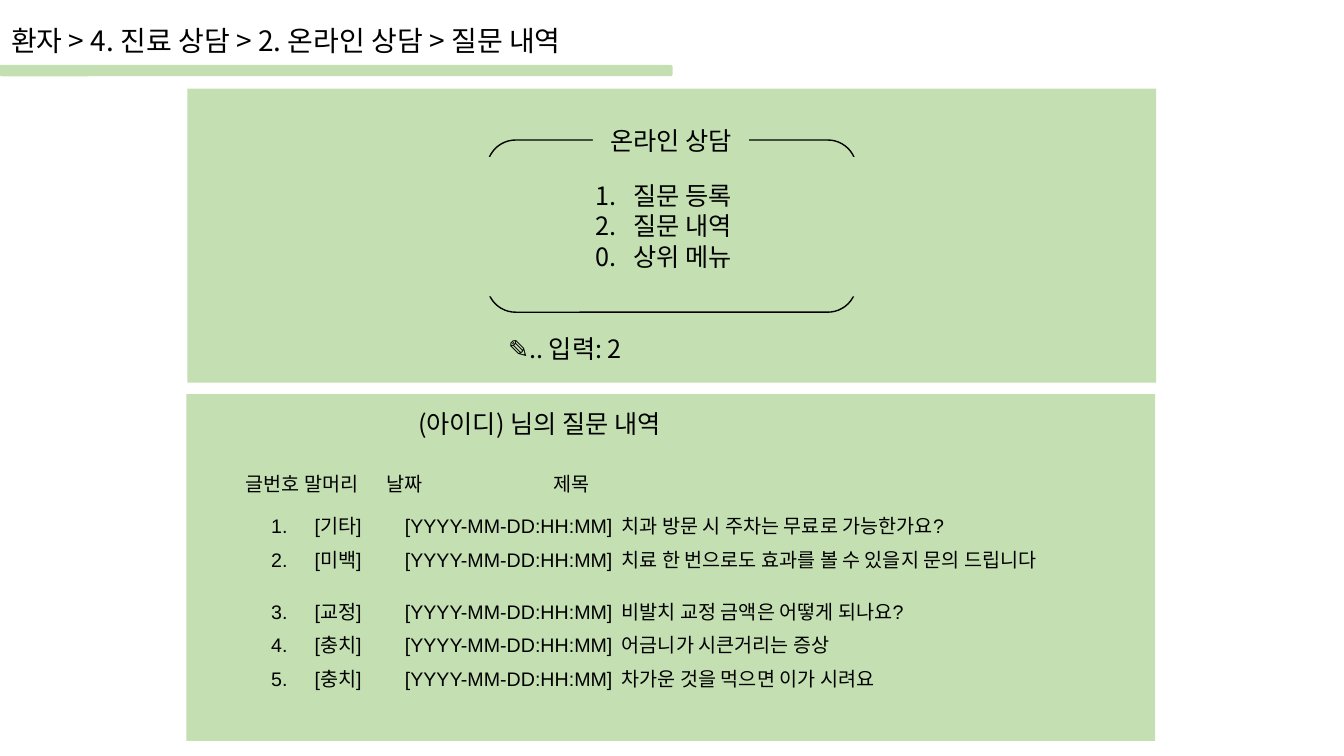
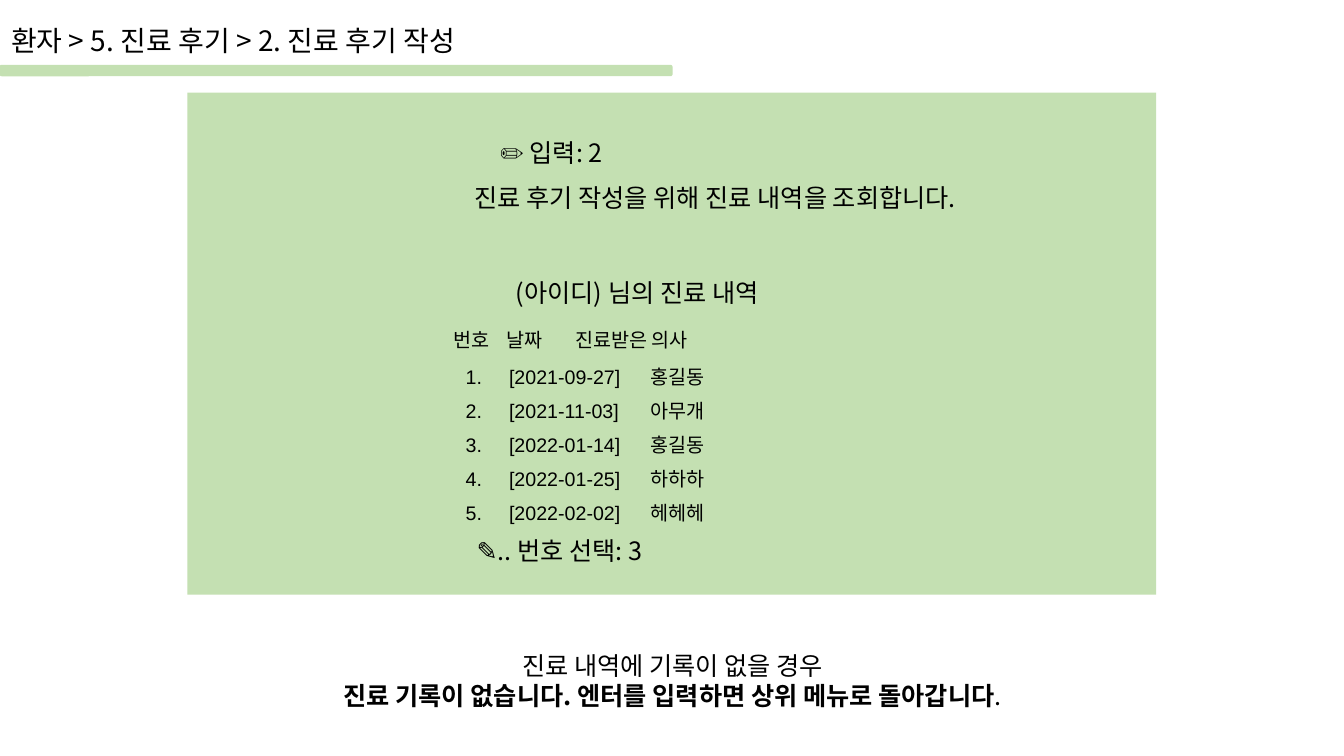
from dataclasses import dataclass
from typing import NamedTuple

from lxml import etree
from pptx import Presentation
from pptx.dml.color import RGBColor
from pptx.enum.shapes import MSO_SHAPE
from pptx.enum.text import MSO_ANCHOR, MSO_AUTO_SIZE, PP_ALIGN
from pptx.oxml.ns import qn
from pptx.util import Pt

RECT, ROUND = MSO_SHAPE.RECTANGLE, MSO_SHAPE.ROUNDED_RECTANGLE
LEFT, CENTER = PP_ALIGN.LEFT, PP_ALIGN.CENTER
TOP, MIDDLE = MSO_ANCHOR.TOP, MSO_ANCHOR.MIDDLE
FIXED = MSO_AUTO_SIZE.NONE

GREEN, BLACK = "C4E0B2", "000000"
SANS, LATIN = "Noto Sans CJK KR", "Arial"
NO_GRID = "{2D5ABB26-0587-4C30-8999-92F81FD0307C}"
TITLE_BODY, TITLE_ONLY = 1, 5
INDENT = 27


class Box(NamedTuple):
    x: float
    y: float
    w: float
    h: float

    def pts(self):
        return [Pt(v) for v in self]


class Run(NamedTuple):
    text: str
    bold: bool = False


class Line(NamedTuple):
    runs: list[Run]
    tabs: tuple = ()


@dataclass
class Label:
    box: Box
    lines: list[Line]
    size: int = 18
    align: PP_ALIGN = LEFT
    fill: bool = False


@dataclass
class Grid:
    """One column of rows whose fields are set apart by tab stops."""
    box: Box
    tabs: tuple
    rows: list[str]
    heights: list[float]


def plain(text: str, tabs: tuple = ()) -> Line:
    return Line([Run(text)], tabs)


def note(box: Box, text: str) -> Label:
    """A centred line on a green ground."""
    return Label(box, [plain(text)], align=CENTER, fill=True)


def color(code: str) -> RGBColor:
    return RGBColor.from_string(code)


def add_node(parent, tag: str, **attrs):
    return etree.SubElement(parent, qn(tag), attrs)


def set_tabs(para, tabs: tuple) -> None:
    if tabs:
        stops = add_node(para._p.get_or_add_pPr(), "a:tabLst")
        for pos in tabs:
            add_node(stops, "a:tab", pos=str(int(Pt(pos))), algn="l")


def set_indent(para, auto: bool) -> None:
    """Hang the paragraph, with an automatic number if asked."""
    props = para._p.get_or_add_pPr()
    props.set("marL", str(int(Pt(INDENT))))
    props.set("indent", str(-int(Pt(INDENT))))
    if auto:
        add_node(props, "a:buFontTx")
        add_node(props, "a:buAutoNum", type="arabicPeriod")
    else:
        add_node(props, "a:buNone")


def add_run(para, run: Run, size: int, face: str) -> None:
    item = para.add_run()
    item.text = run.text
    font = item.font
    font.size, font.bold, font.name = Pt(size), run.bold, face
    font.color.rgb = color(BLACK)
    latin = font._element.find(qn("a:latin"))
    latin.addnext(etree.Element(qn("a:ea"), typeface=SANS))


def write(frame, lines: list[Line], size: int, align=LEFT, face: str = SANS) -> None:
    for i, line in enumerate(lines):
        para = frame.paragraphs[0] if i == 0 else frame.add_paragraph()
        set_tabs(para, line.tabs)
        para.alignment = align
        para.space_before = Pt(0)
        for run in line.runs:
            add_run(para, run, size, face)


def add_block(slide, box: Box, kind=RECT, edge: str = ""):
    shape = slide.shapes.add_shape(kind, *box.pts())
    shape.shadow.inherit = False
    shape.fill.solid()
    shape.fill.fore_color.rgb = color(GREEN)
    if edge:
        shape.line.color.rgb = color(edge)
        shape.line.width = Pt(1)
    else:
        shape.line.fill.background()
    return shape


def add_label(slide, label: Label) -> None:
    if label.fill:
        shape = add_block(slide, label.box)
    else:
        shape = slide.shapes.add_textbox(*label.box.pts())
    frame = shape.text_frame
    frame.word_wrap = True
    frame.vertical_anchor = MIDDLE if label.fill else TOP
    write(frame, label.lines, label.size, label.align)


def place(holder, box: Box):
    """Move a placeholder and return its text frame."""
    holder.left, holder.top, holder.width, holder.height = box.pts()
    frame = holder.text_frame
    frame.word_wrap = True
    frame.auto_size = FIXED
    frame.vertical_anchor = TOP
    return frame


def add_menu(slide, box: Box, items: list[str], last: str) -> None:
    """Fill the body with numbered items and a last one that returns."""
    body = slide.placeholders[1]
    frame = place(body, box)
    write(frame, [plain(text) for text in [*items, "0.\t" + last]], 18)
    for i, para in enumerate(frame.paragraphs):
        set_indent(para, i < len(items))
    tree = body.element.getparent()
    tree.append(body.element)


def add_grid(slide, grid: Grid) -> None:
    holder = slide.shapes.add_table(len(grid.rows), 1, *grid.box.pts())
    table = holder.table
    table.first_row = table.horz_banding = False
    for style in holder.element.iter(qn("a:tableStyleId")):
        style.text = NO_GRID
    for i, (text, high) in enumerate(zip(grid.rows, grid.heights)):
        table.rows[i].height = Pt(high)
        cell = table.cell(i, 0)
        cell.margin_bottom = Pt(0)
        cell.fill.solid()
        cell.fill.fore_color.rgb = color(GREEN)
        write(cell.text_frame, [plain(text, grid.tabs)], 14, face=LATIN)


def new_slide(deck, layout: int, trail: list[str]):
    """Start a slide with its menu trail and the green rule below it."""
    slide = deck.slides.add_slide(deck.slide_layouts[layout])
    add_block(slide, Box(0, 46.8, 480, 7.2), ROUND, GREEN)
    frame = place(slide.shapes.title, Box(0.7, 13, 626, 32))
    write(frame, [plain(" > ".join(trail))], 20)
    return slide


def ask_slide(deck) -> None:
    slide = new_slide(deck, TITLE_BODY,
                      ["환자", "4. 진료 상담", "2. 온라인 상담", "질문 내역"])
    add_block(slide, Box(133.2, 281.5, 692, 247.7))
    add_label(slide, note(Box(239.8, 288, 291, 29), "(아이디) 님의 질문 내역"))
    head = plain("글번호 말머리\t날짜\t제목", (100.8, 220))
    add_label(slide, Label(Box(168.5, 333.4, 307, 24.5), [head], 14))

    add_block(slide, Box(133.9, 63.4, 692, 210))
    add_block(slide, Box(347.8, 100, 264, 123), ROUND, BLACK)
    add_block(slide, Box(287.3, 112.3, 384, 99.4))
    add_label(slide, note(Box(347.8, 234.7, 111.6, 29), "✎.. 입력: 2"))
    add_label(slide, note(Box(423.4, 85.7, 111.6, 29), "온라인 상담"))
    add_menu(slide, Box(418.3, 125.3, 121, 73), ["질문 등록", "질문 내역"], "상위 메뉴")

    posts = [
        ("기타", "치과 방문 시 주차는 무료로 가능한가요?"),
        ("미백", "치료 한 번으로도 효과를 볼 수 있을지 문의 드립니다"),
        ("교정", "비발치 교정 금액은 어떻게 되나요?"),
        ("충치", "어금니가 시큰거리는 증상"),
        ("충치", "차가운 것을 먹으면 이가 시려요"),
    ]
    rows = [f"{i}.\t[{tag}]\t[YYYY-MM-DD:HH:MM]\t{text}"
            for i, (tag, text) in enumerate(posts, 1)]
    add_grid(slide, Grid(Box(186.5, 361.4, 612.7, 133), (31, 95.5, 250.5),
                         rows, [24, 37, 24, 24, 24]))


def review_slide(deck) -> None:
    slide = new_slide(deck, TITLE_ONLY,
                      ["환자", "5. 진료 후기", "2. 진료 후기 작성"])
    add_block(slide, Box(133.9, 66.2, 692, 358.6))
    visits = [
        ("2021-09-27", "홍길동"),
        ("2021-11-03", "아무개"),
        ("2022-01-14", "홍길동"),
        ("2022-01-25", "하하하"),
        ("2022-02-02", "헤헤헤"),
    ]
    rows = [f"{i}.\t[{day}]\t{name}" for i, (day, name) in enumerate(visits, 1)]
    add_grid(slide, Grid(Box(325.4, 254.9, 252, 121.5), (31, 132),
                         rows, [24.3] * len(rows)))
    head = plain("번호\t날짜\t진료받은 의사", (38, 87))
    empty = [
        plain("진료 내역에 기록이 없을 경우"),
        Line([Run("진료 기록이 없습니다. 엔터를 입력하면 상위 메뉴로 돌아갑니다", True),
              Run(".")]),
    ]
    for label in (
        Label(Box(333.4, 378.7, 157.7, 29), [plain("✎.. 번호 선택: 3")]),
        note(Box(309.6, 194.4, 291, 29), "(아이디) 님의 진료 내역"),
        Label(Box(316.8, 231, 208, 24.5), [head], 14),
        Label(Box(170, 460.8, 620.6, 51), empty, align=CENTER),
        Label(Box(350, 94.3, 110, 29), [plain("✏ 입력: 2")]),
        note(Box(309.6, 126.7, 402.5, 29), "진료 후기 작성을 위해 진료 내역을 조회합니다."),
    ):
        add_label(slide, label)


def main() -> None:
    deck = Presentation()
    deck.slide_width, deck.slide_height = Pt(960), Pt(540)
    ask_slide(deck)
    review_slide(deck)
    deck.save("out.pptx")


if __name__ == "__main__":
    main()
